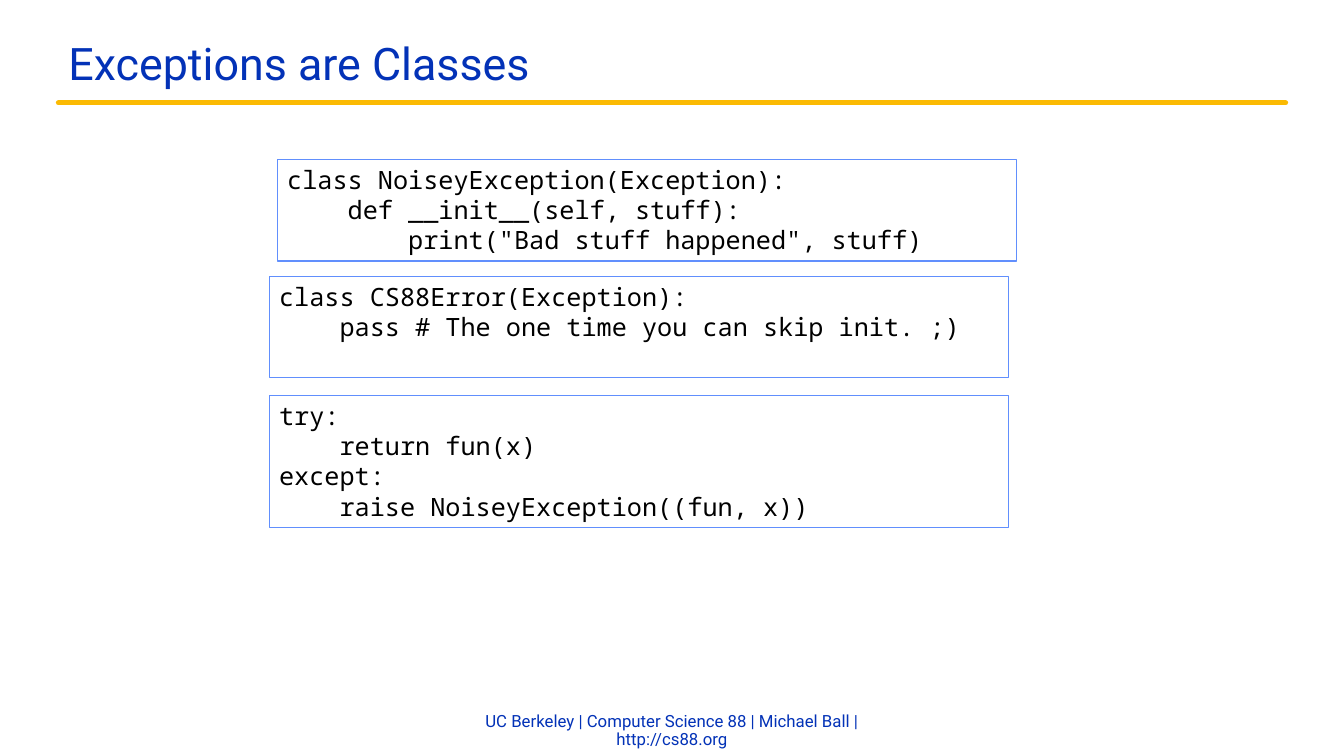
from dataclasses import dataclass

from lxml import etree
from pptx import Presentation
from pptx.dml.color import RGBColor
from pptx.enum.shapes import MSO_CONNECTOR, MSO_SHAPE
from pptx.enum.text import MSO_ANCHOR, PP_ALIGN
from pptx.oxml.ns import qn
from pptx.util import Inches, Pt

STRAIGHT = MSO_CONNECTOR.STRAIGHT
RECTANGLE = MSO_SHAPE.RECTANGLE
TOP, MIDDLE = MSO_ANCHOR.TOP, MSO_ANCHOR.MIDDLE
LEFT, CENTER = PP_ALIGN.LEFT, PP_ALIGN.CENTER


@dataclass(frozen=True)
class Theme:
    heading: str = "0332B7"
    rule: str = "FBBA03"
    frame: str = "618FFD"
    code: str = "000000"
    text_font: str = "Roboto"
    code_font: str = "Noto Sans Mono"
    title_size: int = 32
    code_size: int = 18
    footer_size: int = 12
    rule_width: float = 3.75
    frame_width: float = 0.75


THEME = Theme()
PAGE_WIDTH, PAGE_HEIGHT = 13.33, 7.5
MARGIN = 0.58
INDENT = 0.6  # four monospaced characters at the code size
CODE_WIDTH, LINE_HEIGHT, CODE_PADDING = 7.33, 0.3, 0.11

# Each block: left, top, rows high, and its lines as (indent level, text)
CODE_BLOCKS = [
    (2.75, 1.58, 3, [
        (0, "class NoiseyException(Exception):"),
        (1, "def __init__(self, stuff):"),
        (2, 'print("Bad stuff happened", stuff)'),
    ]),
    (2.67, 2.74, 3, [
        (0, "class CS88Error(Exception):"),
        (1, "pass # The one time you can skip init. ;)"),
    ]),
    (2.67, 3.92, 4, [
        (0, "try:"),
        (1, "return fun(x)"),
        (0, "except:"),
        (1, "raise NoiseyException((fun, x))"),
    ]),
]


def write(shape, lines, *, font, size, color, align=LEFT, anchor=TOP,
          spacing=1.0, insets=(0.1, 0.05)):
    """Fill a shape with (indent level, text) lines."""
    frame = shape.text_frame
    frame.word_wrap = True
    frame.vertical_anchor = anchor
    frame.margin_left = frame.margin_right = Inches(insets[0])
    frame.margin_top = frame.margin_bottom = Inches(insets[1])
    for number, (level, text) in enumerate(lines):
        para = frame.add_paragraph() if number else frame.paragraphs[0]
        para.alignment = align
        para.line_spacing = spacing
        if level:
            properties = para._p.get_or_add_pPr()
            properties.set("marL", str(Inches(level * INDENT)))
            properties.set("indent", "0")
        span = para.add_run()
        span.text = text
        span.font.name = font
        span.font.size = Pt(size)
        span.font.color.rgb = RGBColor.from_string(color)


def add_header(page, box, title):
    """Title with a round-ended rule beneath it."""
    left, top, width, height = box
    rule_top = top + 0.77
    rule = page.shapes.add_connector(
        STRAIGHT, Inches(left), Inches(rule_top),
        Inches(left + width), Inches(rule_top))
    rule.line.color.rgb = RGBColor.from_string(THEME.rule)
    rule.line.width = Pt(THEME.rule_width)
    rule.line._get_or_add_ln().set("cap", "rnd")
    etree.SubElement(rule._element.spPr, qn("a:effectLst"))

    heading = page.shapes.add_textbox(
        Inches(left), Inches(top), Inches(width - 1), Inches(height))
    write(heading, [(0, title)], font=THEME.text_font, size=THEME.title_size,
          color=THEME.heading, anchor=MIDDLE, spacing=0.9)


def add_code(page, box, lines):
    """Outlined box of source code."""
    panel = page.shapes.add_shape(RECTANGLE, *map(Inches, box))
    panel.shadow.inherit = False
    panel.fill.background()
    panel.line.color.rgb = RGBColor.from_string(THEME.frame)
    panel.line.width = Pt(THEME.frame_width)
    write(panel, lines, font=THEME.code_font, size=THEME.code_size,
          color=THEME.code)


def add_footer(page, box, text):
    """Centred course line at the foot of the page."""
    footer = page.shapes.add_textbox(*map(Inches, box))
    write(footer, [(0, text)], font=THEME.text_font, size=THEME.footer_size,
          color=THEME.heading, align=CENTER, anchor=MIDDLE, spacing=0.9,
          insets=(0.04, 0.02))


def main():
    deck = Presentation()
    deck.slide_width, deck.slide_height = Inches(PAGE_WIDTH), Inches(PAGE_HEIGHT)
    page = deck.slides.add_slide(deck.slide_layouts[6])

    add_header(page, (MARGIN, 0.25, PAGE_WIDTH - 2 * MARGIN, 0.81),
               "Exceptions are Classes")
    for left, top, rows, lines in CODE_BLOCKS:
        height = rows * LINE_HEIGHT + CODE_PADDING
        add_code(page, (left, top, CODE_WIDTH, height), lines)
    add_footer(page, ((PAGE_WIDTH - 4.81) / 2, 7.07, 4.81, 0.36),
               "UC Berkeley | Computer Science 88 | Michael Ball | http://cs88.org")

    deck.save("out.pptx")


if __name__ == "__main__":
    main()
